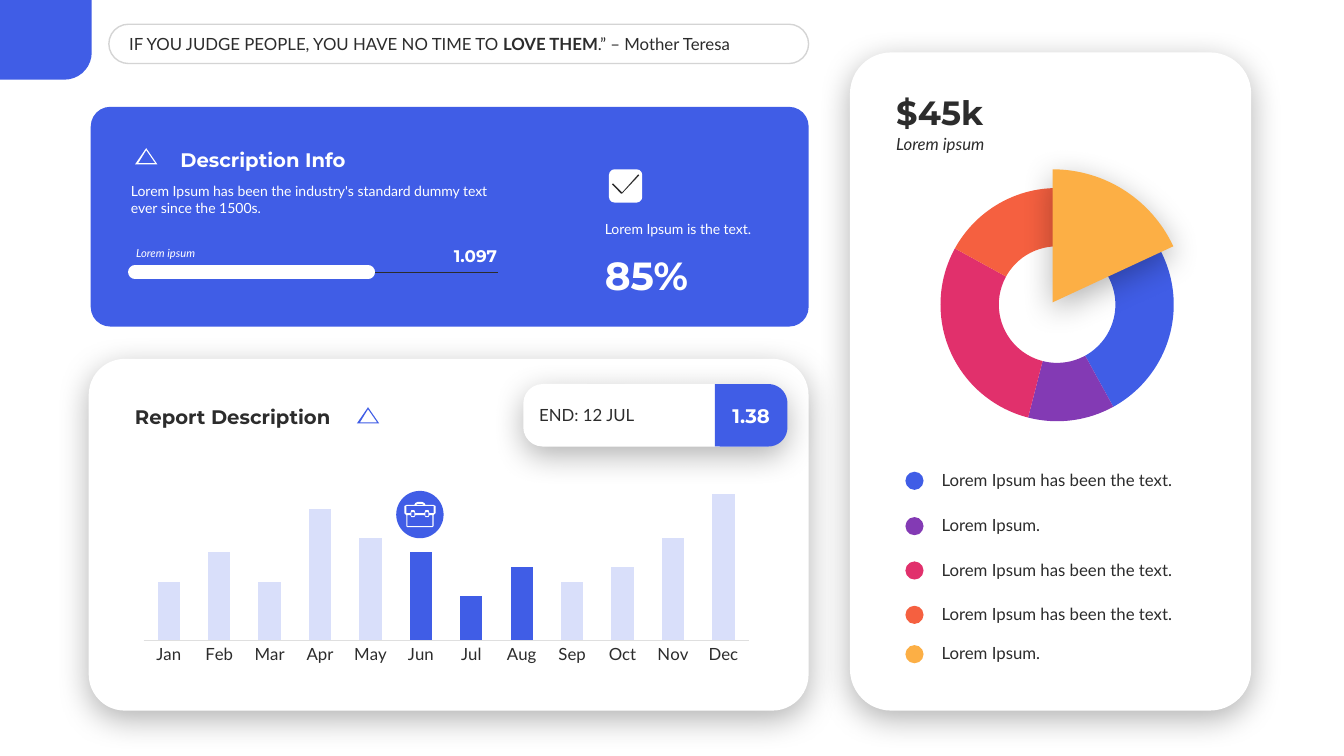
from math import cos, sin, radians
from lxml import etree
from pptx import Presentation, util as u
from pptx.chart.data import CategoryChartData
from pptx.dml.color import RGBColor
from pptx.enum import chart as ch, shapes as sh, text as tx
from pptx.oxml.ns import qn

BLUE = RGBColor(0x40, 0x5D, 0xE6)
PALE = RGBColor(0xD9, 0xDF, 0xFA)
PURPLE = RGBColor(0x83, 0x3A, 0xB4)
PINK = RGBColor(0xE1, 0x30, 0x6C)
ORANGE = RGBColor(0xF5, 0x60, 0x40)
AMBER = RGBColor(0xFC, 0xAF, 0x45)
DARK = RGBColor(0x2C, 0x2C, 0x2C)
GREY = RGBColor(0xDF, 0xDF, 0xDF)
WHITE = RGBColor(0xFF, 0xFF, 0xFF)
LATO, MONT = "Lato", "Montserrat"
ROUND, OVAL = sh.MSO_SHAPE.ROUNDED_RECTANGLE, sh.MSO_SHAPE.OVAL
TOP, MID, LOW = tx.MSO_ANCHOR.TOP, tx.MSO_ANCHOR.MIDDLE, tx.MSO_ANCHOR.BOTTOM
LEFT, MIDST, RIGHT = tx.PP_ALIGN.LEFT, tx.PP_ALIGN.CENTER, tx.PP_ALIGN.RIGHT

prs = Presentation()
prs.slide_width, prs.slide_height = u.Inches(13.33), u.Inches(7.5)
slide = prs.slides.add_slide(prs.slide_layouts[5])
items = slide.shapes


def box(kind, at, fill, adj=(), shadow=False):
    shape = items.add_shape(kind, *map(u.Inches, at))
    for i, value in enumerate(adj):
        shape.adjustments[i] = value
    shape.line.fill.background()
    shape.shadow.inherit = False
    if fill is None:
        shape.fill.background()
    else:
        shape.fill.solid()
        shape.fill.fore_color.rgb = fill
    if shadow:
        glow = etree.SubElement(
            shape.element.spPr.find(qn("a:effectLst")), qn("a:outerShdw"),
            blurRad=str(u.Pt(23)), dist=str(u.Pt(6)), dir="5400000",
            algn="t", rotWithShape="0")
        ink = etree.SubElement(glow, qn("a:srgbClr"), val="000000")
        etree.SubElement(ink, qn("a:alpha"), val="30000")
    return shape


def write(at, words, size, face, color, anchor=MID, align=LEFT,
          bold=False, italic=False, left=0.1, right=0.1):
    frame = items.add_textbox(*map(u.Inches, at)).text_frame
    frame.word_wrap = True
    frame.auto_size = tx.MSO_AUTO_SIZE.SHAPE_TO_FIT_TEXT
    frame.vertical_anchor = anchor
    frame.margin_left, frame.margin_right = u.Inches(left), u.Inches(right)
    para = frame.paragraphs[0]
    para.text, para.alignment = words, align
    font = para.font
    font.name, font.size, font.color.rgb = face, u.Pt(size), color
    font.bold, font.italic = bold, italic


# Quote in the title
title = items.title
title.left, title.top, title.width, title.height = map(
    u.Inches, (1.24, 0.28, 6.55, 0.3))
frame = title.text_frame
frame.auto_size = tx.MSO_AUTO_SIZE.NONE
frame.word_wrap, frame.vertical_anchor = True, MID
frame.margin_left = frame.margin_right = u.Inches(0.04)
quote = frame.paragraphs[0]
quote.alignment = LEFT
quote.font.name, quote.font.size = LATO, u.Pt(12)
quote.font.color.rgb = DARK
for words, bold in (("IF YOU JUDGE PEOPLE, YOU HAVE NO TIME TO ", False),
                    ("LOVE THEM", True), (".” – Mother Teresa", False)):
    run = quote.add_run()
    run.text, run.font.bold = words, bold

pill = box(ROUND, (1.08, 0.24, 6.94, 0.39), None, [0.5])
pill.line.width, pill.line.color.rgb = u.Pt(1), DARK
ink = pill.element.spPr.find(qn("a:ln")).find(".//" + qn("a:srgbClr"))
etree.SubElement(ink, qn("a:alpha"), val="20000")

# Cards
box(ROUND, (0.9, 1.06, 7.12, 2.18), BLUE, [0.089])
box(ROUND, (6.04, 1.68, 0.33, 0.33), WHITE)
box(ROUND, (0.88, 3.56, 7.14, 3.49), WHITE, [0.103], True)
box(ROUND, (5.19, 3.81, 2.61, 0.62), WHITE, [0.311], True)
box(ROUND, (8.43, 0.52, 3.98, 6.53), WHITE, [0.103], True)

# Progress bar
for end, color, width in ((4.94, DARK, 0.5), (3.65, WHITE, 10)):
    bar = items.add_connector(sh.MSO_CONNECTOR.STRAIGHT, *map(
        u.Inches, (1.34, 2.7, end, 2.7)))
    bar.line.color.rgb, bar.line.width = color, u.Pt(width)
    bar.get_or_add_ln().set("cap", "rnd" if color == WHITE else "flat")
    etree.SubElement(bar.element.spPr, qn("a:effectLst"))

# Charts
months = "Jan Feb Mar Apr May Jun Jul Aug Sep Oct Nov Dec".split()
sales = [40, 60, 40, 90, 70, 60, 30, 50, 40, 50, 70, 100]
charts = []
for kind, at, cats, vals, size, tints in (
        (ch.XL_CHART_TYPE.COLUMN_CLUSTERED, (1.3, 4.57, 6.25, 2.06),
         months, sales, 12, {5: BLUE, 6: BLUE, 7: BLUE}),
        (ch.XL_CHART_TYPE.DOUGHNUT, (8.86, 1.71, 3.25, 2.6),
         list("1234"), [42, 12, 29, 17], 10,
         {0: BLUE, 1: PURPLE, 2: PINK, 3: ORANGE})):
    data = CategoryChartData()
    data.categories = cats
    data.add_series("Series 1", vals)
    chart = items.add_chart(kind, *map(u.Inches, at), data).chart
    chart.has_legend = chart.has_title = False
    font = chart.font
    font.name, font.size, font.color.rgb = LATO, u.Pt(size), DARK
    series = chart.plots[0].series[0]
    series.format.fill.solid()
    series.format.fill.fore_color.rgb = PALE
    for i, tint in tints.items():
        fill = series.points[i].format.fill
        fill.solid()
        fill.fore_color.rgb = tint
    charts.append(chart)

column, ring = charts
plot = column.plots[0]
plot.gap_width, plot.overlap, plot.vary_by_categories = 125, -27, False
scale = column.value_axis
scale.minimum_scale, scale.maximum_scale = 0, 120
scale.has_major_gridlines = scale.visible = False
axis = column.category_axis
axis.major_tick_mark = ch.XL_TICK_MARK.NONE
axis.format.line.color.rgb, axis.format.line.width = GREY, u.Pt(0.75)

# Fixed place for the ring
area = ring.plots[0]._element.getparent()
for old in area.findall(qn("c:layout")):
    area.remove(old)
layout = etree.Element(qn("c:layout"))
area.insert(0, layout)
manual = etree.SubElement(layout, qn("c:manualLayout"))
for tag, val in (("layoutTarget", "inner"), ("xMode", "edge"), ("yMode", "edge"),
                 ("x", "0.14"), ("y", "0.06"), ("w", "0.72"), ("h", "0.89")):
    etree.SubElement(manual, qn("c:" + tag), val=val)

box(sh.MSO_SHAPE.ARC, (9.12, 1.68, 2.64, 2.64), AMBER, [162, 201.048], True)
box(OVAL, (3.93, 4.87, 0.47, 0.47), BLUE)

# Outlines: corner tile, tab, check mark, triangles, briefcase
turn = [(cos(radians(a)), sin(radians(a))) for a in range(0, 91, 10)]
tile = [(0, 0), (0.91, 0)] + [(0.64 + 0.27 * c, 0.52 + 0.27 * s)
                              for c, s in turn] + [(0, 0.79)]
tab = ([(7.09, 3.81)] + [(7.62 + 0.19 * s, 4 - 0.19 * c) for c, s in turn]
       + [(7.62 + 0.19 * c, 4.24 + 0.19 * s) for c, s in turn] + [(7.09, 4.43)])
check = [(6.34, 1.74), (6.33, 1.73), (6.17, 1.91), (6.08, 1.82),
         (6.07, 1.83), (6.16, 1.92), (6.17, 1.92)]
case = [
    [(4.3, 5.01), (4.22, 5.01), (4.21, 4.99), (4.19, 4.98), (4.14, 4.98),
     (4.12, 4.99), (4.11, 5.01), (4.03, 5.01), (4.01, 5.02), (4.01, 5.09),
     (4.03, 5.11), (4.03, 5.22), (4.04, 5.23), (4.29, 5.23), (4.3, 5.22),
     (4.3, 5.11), (4.32, 5.09), (4.32, 5.02)],
    [(4.14, 5), (4.19, 5), (4.21, 5.01), (4.12, 5.01)],
    [(4.29, 5.22), (4.04, 5.22), (4.04, 5.11), (4.07, 5.11), (4.08, 5.13),
     (4.11, 5.13), (4.12, 5.11), (4.21, 5.11), (4.22, 5.13), (4.25, 5.13),
     (4.26, 5.11), (4.29, 5.11)],
    [(4.3, 5.09), (4.26, 5.09), (4.25, 5.06), (4.22, 5.06), (4.21, 5.09),
     (4.12, 5.09), (4.11, 5.06), (4.08, 5.06), (4.07, 5.09), (4.03, 5.09),
     (4.03, 5.02), (4.3, 5.02)]]
case += [[(x, 5.08), (x + 0.03, 5.08), (x + 0.03, 5.12), (x, 5.12)]
         for x in (4.08, 4.22)]
peaks = [[[(x + 0.11, y), (x + 0.22, y + 0.16), (x, y + 0.16)],
          [(x + 0.11, y + 0.02), (x + 0.03, y + 0.15), (x + 0.2, y + 0.15)]]
         for x, y in ((1.34, 1.47), (3.54, 4.04))]
for loops, color in (([tile], BLUE), ([tab], BLUE), ([check], DARK),
                     (peaks[0], WHITE), (peaks[1], BLUE), (case, WHITE)):
    pen = None
    for loop in loops:
        dots = [(u.Inches(x), u.Inches(y)) for x, y in loop]
        if pen is None:
            pen = items.build_freeform(*dots[0])
        else:
            pen.move_to(*dots[0])
        pen.add_line_segments(dots[1:], close=True)
    shape = pen.convert_to_shape()
    shape.fill.solid()
    shape.fill.fore_color.rgb = color
    shape.line.fill.background()
    shape.shadow.inherit = False

# Info card text
write((1.69, 1.41, 3.49, 0.34), "Description Info", 14, MONT, WHITE, LOW, bold=True)
write((1.2, 1.76, 3.98, 0.44), "Lorem Ipsum has been the industry's standard "
      "dummy text ever since the 1500s.", 10, LATO, WHITE, TOP)
write((1.27, 2.39, 1.92, 0.24), "Lorem ipsum", 8, LATO, WHITE, LOW,
      italic=True, left=0.08)
write((4.32, 2.39, 0.65, 0.3), "1.097", 12, MONT, WHITE, LOW, RIGHT,
      bold=True, right=0.04)
write((5.9, 2.13, 1.88, 0.27), "Lorem Ipsum is the text.", 10, LATO, WHITE, LOW)
write((5.9, 2.44, 1.88, 0.57), "85%", 28, MONT, WHITE, TOP, bold=True)

# Report card text
write((1.24, 3.96, 3.52, 0.34), "Report Description", 14, MONT, DARK, bold=True)
write((5.25, 3.97, 1.9, 0.3), "END: 12 JUL", 12, LATO, DARK)
write((7.09, 3.95, 0.72, 0.34), "1.38", 14, MONT, WHITE, align=MIDST,
      bold=True, left=0.04, right=0.04)

# Income card text and legend
write((8.79, 0.86, 3.32, 0.5), "$45k", 24, MONT, DARK, LOW, bold=True, right=0.08)
write((8.79, 1.28, 3.32, 0.3), "Lorem ipsum", 12, LATO, DARK, TOP,
      italic=True, right=0.08)
brief, full = "Lorem Ipsum.", "Lorem Ipsum has been the text."
for y, color, words in ((4.68, BLUE, full), (5.13, PURPLE, brief),
                        (5.57, PINK, full), (6.01, ORANGE, full),
                        (6.4, AMBER, brief)):
    box(OVAL, (8.98, y, 0.18, 0.18), color)
    write((9.24, y - 0.07, 2.73, 0.3), words, 12, LATO, DARK)

prs.save("out.pptx")
